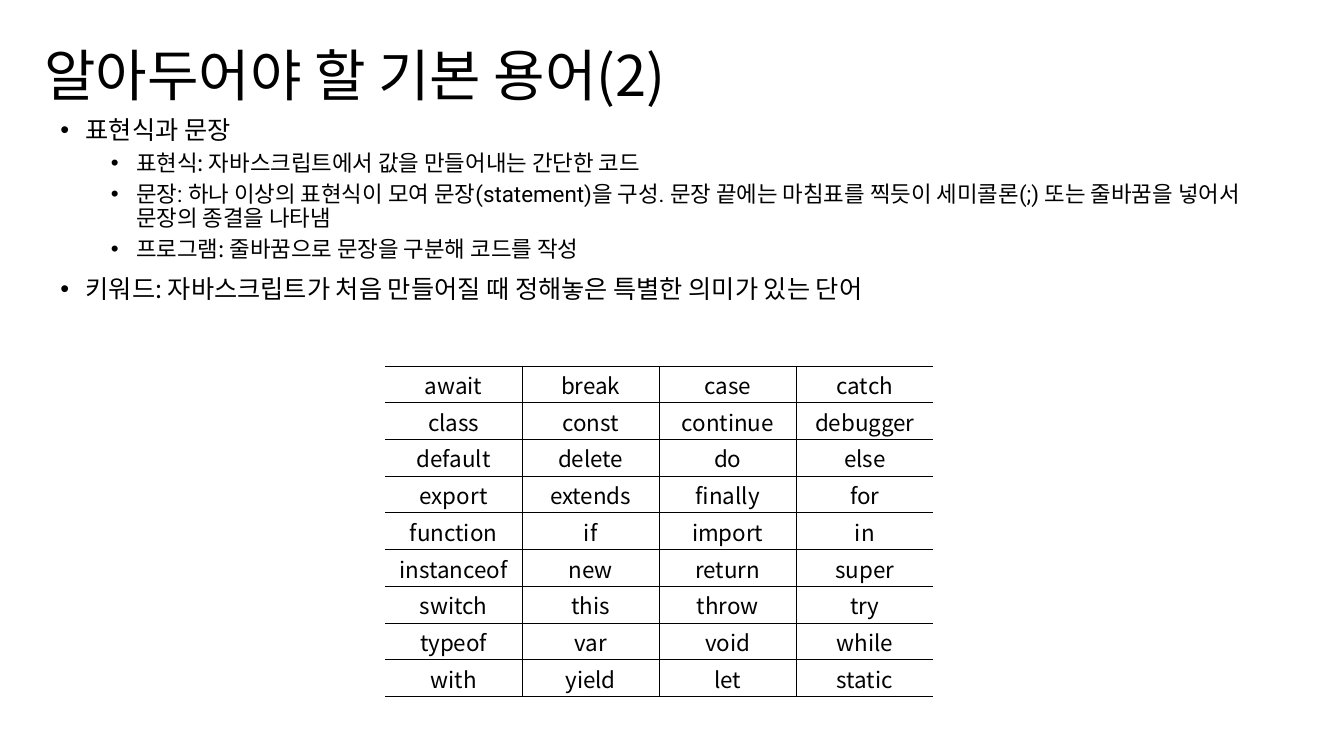
from dataclasses import dataclass

from lxml.etree import SubElement
from pptx import Presentation
from pptx.dml.color import RGBColor
from pptx.enum.text import MSO_ANCHOR, MSO_AUTO_SIZE, PP_ALIGN
from pptx.oxml.ns import qn
from pptx.util import Emu, Inches, Pt


@dataclass(frozen=True)
class Theme:
    ink: str = "000000"
    paper: str = "FFFFFF"
    main: str = "Noto Sans CJK KR"
    latin: str = "Roboto"
    title: int = 40
    levels: tuple = (18, 16)
    indents: tuple = (0.25, 0.75)
    gaps: tuple = (10, 5)
    cell: int = 16
    border: float = 0.5


def apply(target, formats):
    for name, value in formats.items():
        setattr(target, name, value)


class Deck:
    def __init__(self, theme):
        self.theme = theme
        self.prs = Presentation()
        apply(self.prs, {"slide_width": Inches(13.333), "slide_height": Inches(7.5)})
        self.s = self.prs.slides.add_slide(self.prs.slide_layouts[1])
        fill = self.s.background.fill
        fill.solid()
        fill.fore_color.rgb = RGBColor.from_string(theme.paper)

    def box(self, col, row, cols, rows):
        w, h = self.prs.slide_width / 100, self.prs.slide_height / 100
        sizes = (col * w, row * h, cols * w, rows * h)
        return dict(zip(("left", "top", "width", "height"), (Emu(round(v)) for v in sizes)))

    def run(self, p, text, size, font):
        r = p.add_run()
        r.text = text
        apply(r.font, {"size": Pt(size), "name": font, "bold": False})
        r.font.color.rgb = RGBColor.from_string(self.theme.ink)
        SubElement(r.font._element, qn("a:ea"), typeface=self.theme.main)

    def title(self, text, box):
        sp = self.s.shapes.title
        apply(sp, box)
        apply(sp.text_frame, {"auto_size": MSO_AUTO_SIZE.SHAPE_TO_FIT_TEXT,
                              "vertical_anchor": MSO_ANCHOR.MIDDLE, "word_wrap": True})
        p = sp.text_frame.paragraphs[0]
        p.alignment = PP_ALIGN.LEFT
        self.run(p, text, self.theme.title, self.theme.main)

    def bullets(self, items, box):
        sp = self.s.placeholders[1]
        apply(sp, box)
        tf = sp.text_frame
        apply(tf, {"auto_size": MSO_AUTO_SIZE.NONE,
                   "vertical_anchor": MSO_ANCHOR.TOP, "word_wrap": True})
        for i, (level, runs) in enumerate(items):
            p = tf.add_paragraph() if i else tf.paragraphs[0]
            pPr = p._p.get_or_add_pPr()
            pPr.set("marL", str(Inches(self.theme.indents[level])))
            pPr.set("indent", str(Inches(-0.25)))
            SubElement(pPr, qn("a:buFont"), typeface="Arial")
            SubElement(pPr, qn("a:buChar"), char="•")
            apply(p, {"level": level, "line_spacing": 0.9, "alignment": PP_ALIGN.LEFT,
                      "space_before": Pt(self.theme.gaps[level] if i else 0)})
            for text, font in runs:
                self.run(p, text, self.theme.levels[level], font)

    def border(self, cell, side, visible):
        tcPr = cell._tc.get_or_add_tcPr()
        ln = SubElement(tcPr, qn(f"a:ln{side}"), w=str(Pt(self.theme.border)))
        if visible:
            fill = SubElement(ln, qn("a:solidFill"))
            SubElement(fill, qn("a:srgbClr"), val=self.theme.ink)
        else:
            SubElement(ln, qn("a:noFill"))

    def table(self, rows, box):
        last = len(rows[0]) - 1
        tbl = self.s.shapes.add_table(len(rows), last + 1, **box).table
        apply(tbl, {"first_row": False, "horz_banding": False})
        for i, words in enumerate(rows):
            for j, word in enumerate(words):
                cell = tbl.cell(i, j)
                apply(cell, {"margin_left": Inches(0.01), "margin_top": Inches(0.01),
                             "margin_right": Inches(0.01), "margin_bottom": 0,
                             "vertical_anchor": MSO_ANCHOR.MIDDLE})
                for side, visible in {"L": j > 0, "R": j < last, "T": True, "B": True}.items():
                    self.border(cell, side, visible)
                cell.fill.background()
                p = cell.text_frame.paragraphs[0]
                p.alignment = PP_ALIGN.CENTER
                self.run(p, word, self.theme.cell, self.theme.main)


KEYWORDS = """
await break case catch
class const continue debugger
default delete do else
export extends finally for
function if import in
instanceof new return super
switch this throw try
typeof var void while
with yield let static
"""


def main():
    theme = Theme()
    deck = Deck(theme)
    deck.title("알아두어야 할 기본 용어(2)", deck.box(2.55, 4.67, 76.28, 10.27))
    deck.bullets([
        (0, [("표현식과 문장", theme.main)]),
        (1, [("표현식: ", theme.main),
             ("자바스크립트에서 값을 만들어내는 간단한 코드", theme.latin)]),
        (1, [("문장: 하나 이상의 표현식이 모여 문장(statement)을 구성. 문장 끝에는 마침표를 찍듯이 "
              "세미콜론(;) 또는 줄바꿈을 넣어서 문장의 종결을 나타냄", theme.latin)]),
        (1, [("프로그램: 줄바꿈으로 문장을 구분해 코드를 작성", theme.main)]),
        (0, [("키워드: ", theme.main),
             ("자바스크립트가 처음 만들어질 때 정해놓은 특별한 의미가 있는 단어", theme.latin)]),
    ], deck.box(3.75, 14.93, 92.56, 76.67))
    deck.table([line.split() for line in KEYWORDS.strip().splitlines()],
               deck.box(28.65, 48.4, 40.8, 43.73))
    deck.prs.save("out.pptx")


if __name__ == "__main__":
    main()
